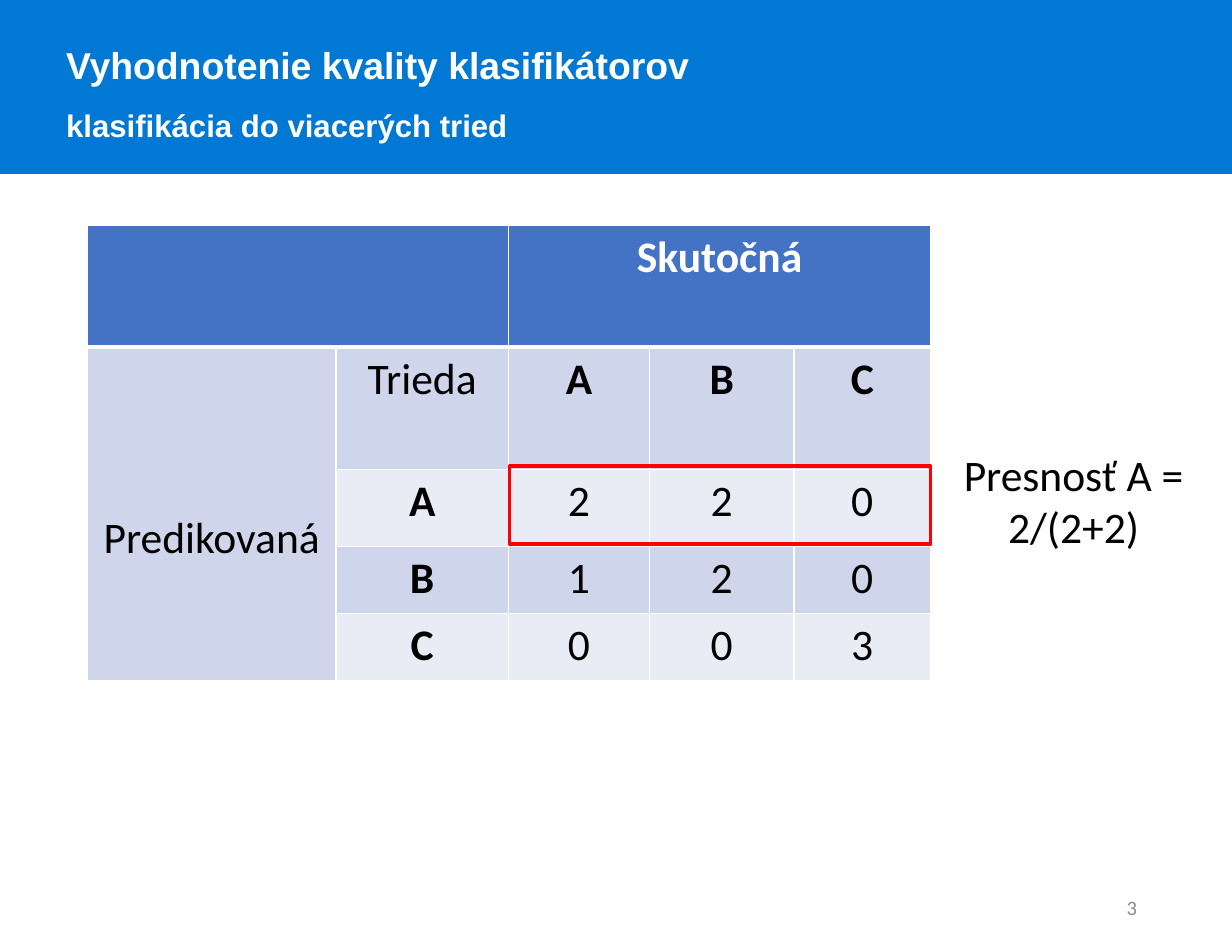
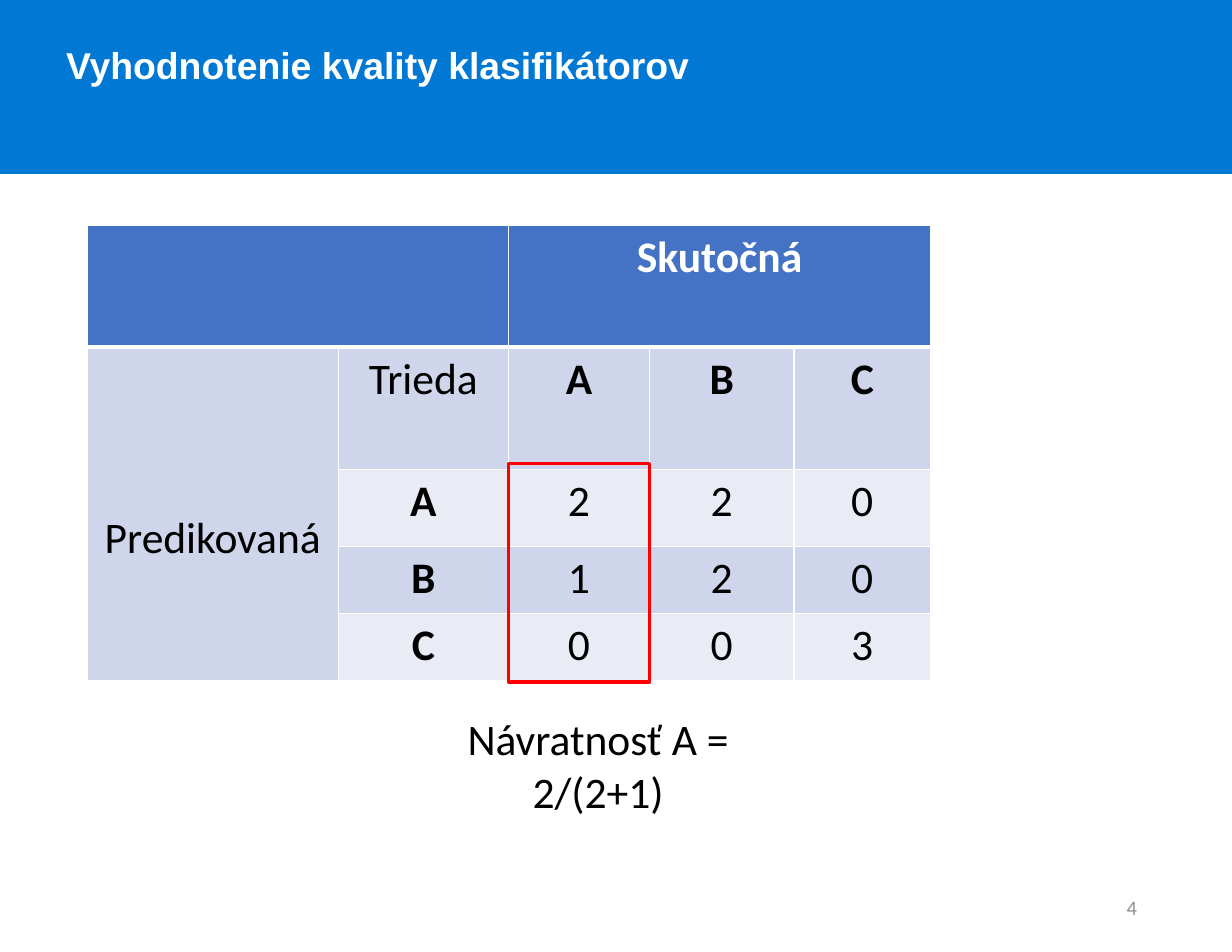
from lxml import etree
from pptx import Presentation
from pptx.dml.color import RGBColor
from pptx.enum.shapes import MSO_SHAPE
from pptx.enum.text import MSO_ANCHOR, MSO_AUTO_SIZE, PP_ALIGN
from pptx.oxml.ns import qn
from pptx.util import Inches, Pt

RECTANGLE = MSO_SHAPE.RECTANGLE
TOP, MIDDLE = MSO_ANCHOR.TOP, MSO_ANCHOR.MIDDLE
LEFT, CENTER, RIGHT = PP_ALIGN.LEFT, PP_ALIGN.CENTER, PP_ALIGN.RIGHT
NO_AUTOFIT = MSO_AUTO_SIZE.NONE

WHITE = RGBColor(0xFF, 0xFF, 0xFF)
BLACK = RGBColor(0, 0, 0)
GRAY = RGBColor(0x8C, 0x8C, 0x8C)
RED = RGBColor(0xFF, 0, 0)
BAND_BLUE = RGBColor(0, 0x78, 0xD4)
HEADER_BLUE = RGBColor(0x44, 0x72, 0xC4)
ROW_DARK = RGBColor(0xCF, 0xD5, 0xEA)
ROW_LIGHT = RGBColor(0xE9, 0xEB, 0xF5)

ROW_HEIGHTS = [1.09, 1.09, 0.69, 0.6, 0.6]
CLASS_WIDTHS = [1.26, 1.29, 1.22]
CONFUSION = [
    ["", "", "Skutočná", "", ""],
    ["Predikovaná", "Trieda", "A", "B", "C"],
    ["", "A", "2", "2", "0"],
    ["", "B", "1", "2", "0"],
    ["", "C", "0", "0", "3"],
]
HEADING = "Vyhodnotenie kvality klasifikátorov"
SLIDES = [
    {
        "number": 3,
        "title": [HEADING, "klasifikácia do viacerých tried"],
        "label_widths": [2.22, 1.54],
        "highlight": (4.55, 4.16, 3.76, 0.7),
        "formula": ["Presnosť A =", "2/(2+2)"],
        "formula_box": (8.49, 3.95, 2.19, 1.04),
    },
    {
        "number": 4,
        "title": [HEADING],
        "label_widths": [2.24, 1.52],
        "highlight": (4.54, 4.14, 1.26, 1.95),
        "formula": ["Návratnosť A =", "2/(2+1)"],
        "formula_box": (4.06, 6.31, 2.56, 1.04),
    },
]


def style(paragraph, font_name, size, color, align, bold=False):
    paragraph.alignment = align
    paragraph.font.name = font_name
    paragraph.font.size = Pt(size)
    paragraph.font.color.rgb = color
    paragraph.font.bold = bold


def set_borders(cell, widths):
    properties = cell._tc.get_or_add_tcPr()
    for position, (side, points) in enumerate(widths.items()):
        line = etree.Element(qn(f"a:ln{side}"), w=str(Pt(points)))
        fill = etree.SubElement(line, qn("a:solidFill"))
        etree.SubElement(fill, qn("a:srgbClr"), val=str(WHITE))
        properties.insert(position, line)


prs = Presentation()
prs.slide_width = Inches(11)
prs.slide_height = Inches(8.5)
title_only = prs.slide_layouts[5]

for content in SLIDES:
    slide = prs.slides.add_slide(title_only)
    shapes = slide.shapes

    band = shapes.add_shape(RECTANGLE, 0, 0, prs.slide_width, Inches(1.55))
    band.shadow.inherit = False
    band.fill.solid()
    band.fill.fore_color.rgb = BAND_BLUE
    band.line.color.rgb = BAND_BLUE
    band.line.width = Pt(1)
    shapes._spTree.insert(2, band._element)

    title = shapes.title
    title.left, title.top = Inches(0.49), Inches(0.13)
    title.width = Inches(10.18)
    title.height = Inches(0.61 + 0.5 * len(content["title"]))
    title.text_frame.text = "\n".join(content["title"])
    title.text_frame.word_wrap = True
    title.text_frame.auto_size = NO_AUTOFIT
    title.text_frame.vertical_anchor = TOP
    for paragraph, size in zip(title.text_frame.paragraphs, [24, 20]):
        style(paragraph, "Arial", size, WHITE, LEFT, bold=True)
        paragraph.line_spacing = 1.5

    page_number = shapes.add_textbox(Inches(7.77), Inches(7.88), Inches(2.48), Inches(0.45))
    page_number.text_frame.text = str(content["number"])
    page_number.text_frame.word_wrap = True
    page_number.text_frame.vertical_anchor = MIDDLE
    style(page_number.text_frame.paragraphs[0], "Calibri", 13.2, GRAY, RIGHT)

    column_widths = content["label_widths"] + CLASS_WIDTHS
    matrix = shapes.add_table(
        len(ROW_HEIGHTS), len(column_widths), Inches(0.78), Inches(2.01),
        Inches(sum(column_widths)), Inches(sum(ROW_HEIGHTS)),
    ).table
    for column, width in zip(matrix.columns, column_widths):
        column.width = Inches(width)
    for row, height in zip(matrix.rows, ROW_HEIGHTS):
        row.height = Inches(height)

    for r, row_texts in enumerate(CONFUSION):
        for c, text in enumerate(row_texts):
            cell = matrix.cell(r, c)
            cell.text = text
            is_header = r == 0
            is_class = text in ("A", "B", "C")
            style(cell.text_frame.paragraphs[0], "Calibri", 28,
                  WHITE if is_header else BLACK, CENTER, bold=is_header or is_class)
            cell.fill.solid()
            if is_header:
                cell.fill.fore_color.rgb = HEADER_BLUE
            else:
                cell.fill.fore_color.rgb = ROW_DARK if r % 2 or c == 0 else ROW_LIGHT
            set_borders(cell, {"L": 1, "R": 1, "T": 3 if r == 1 else 1, "B": 3 if is_header else 1})
    matrix.cell(0, 0).merge(matrix.cell(0, 1))
    matrix.cell(0, 2).merge(matrix.cell(0, 4))
    matrix.cell(1, 0).merge(matrix.cell(4, 0))
    matrix.cell(1, 0).margin_top = Inches(1.47)

    highlight = shapes.add_shape(RECTANGLE, *map(Inches, content["highlight"]))
    highlight.shadow.inherit = False
    highlight.fill.background()
    highlight.line.color.rgb = RED
    highlight.line.width = Pt(2.25)

    formula = shapes.add_textbox(*map(Inches, content["formula_box"]))
    formula.text_frame.text = "\n".join(content["formula"])
    formula.text_frame.word_wrap = False
    for paragraph in formula.text_frame.paragraphs:
        style(paragraph, "Calibri", 28, BLACK, CENTER)

prs.save("out.pptx")
